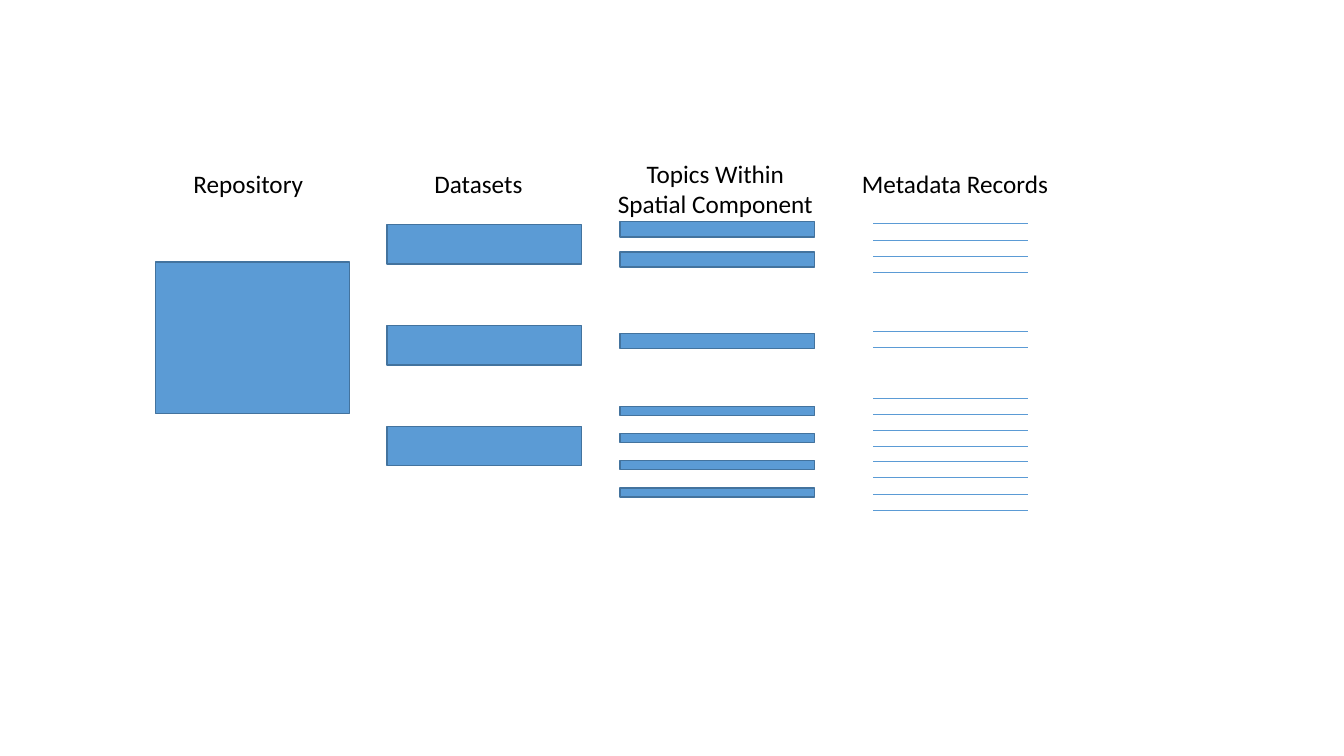
from lxml.etree import SubElement
from pptx import Presentation
from pptx.dml.color import RGBColor
from pptx.enum.shapes import MSO_CONNECTOR, MSO_SHAPE
from pptx.enum.text import PP_ALIGN
from pptx.oxml.ns import qn
from pptx.util import Inches, Pt

BLUE = RGBColor(0x5B, 0x9B, 0xD5)
DARK_BLUE = RGBColor(0x43, 0x73, 0x9E)
BLACK = RGBColor(0, 0, 0)
BAR_WIDTH = 1.93
RECORD_LEFT, RECORD_RIGHT, RECORD_PITCH = 8.66, 10.2, 0.16

prs = Presentation()
prs.slide_width, prs.slide_height = Inches(13.33), Inches(7.5)
slide = prs.slides.add_slide(prs.slide_layouts[6])
shapes = slide.shapes

# Bars: left, first top, height, pitch, count
bar_groups = [
    (1.54, 2.6, 1.5, 0, 1),       # repository
    (3.84, 2.23, 0.39, 1, 3),     # datasets
    (6.15, 2.2, 0.15, 0.3, 2),    # topics of the first dataset
    (6.15, 3.31, 0.15, 0, 1),     # topic of the second dataset
    (6.15, 4.03, 0.09, 0.27, 4),  # topics of the third dataset
]
for left, top, height, pitch, count in bar_groups:
    for index in range(count):
        bar = shapes.add_shape(
            MSO_SHAPE.RECTANGLE, Inches(left), Inches(top + index * pitch),
            Inches(BAR_WIDTH), Inches(height))
        bar.shadow.inherit = False
        bar.fill.solid()
        bar.fill.fore_color.rgb = BLUE
        bar.line.color.rgb = DARK_BLUE
        bar.line.width = Pt(1)

# Metadata records: first line and count of each group
for top, count in [(2.22, 4), (3.29, 2), (3.95, 4), (4.58, 4)]:
    for index in range(count):
        y = Inches(top + index * RECORD_PITCH)
        record = shapes.add_connector(
            MSO_CONNECTOR.STRAIGHT, Inches(RECORD_LEFT), y, Inches(RECORD_RIGHT), y)
        record.line.color.rgb = BLUE
        record.line.width = Pt(0.5)
        SubElement(record._element.spPr, qn("a:effectLst"))

# Column headings
headings = [
    (["Repository"], 1.82, 1.62, 1.38, 0.4, PP_ALIGN.LEFT),
    (["Datasets"], 4.21, 1.62, 1.2, 0.4, PP_ALIGN.LEFT),
    (["Topics Within", "Spatial Component"], 6.02, 1.52, 2.15, 0.71, PP_ALIGN.CENTER),
    (["Metadata Records"], 8.45, 1.62, 2.06, 0.4, PP_ALIGN.LEFT),
]
for lines, left, top, width, height, alignment in headings:
    heading = shapes.add_textbox(Inches(left), Inches(top), Inches(width), Inches(height))
    frame = heading.text_frame
    frame.word_wrap = True
    frame.text = "\n".join(lines)
    for paragraph in frame.paragraphs:
        paragraph.alignment = alignment
        font = paragraph.runs[0].font
        font.name, font.size = "Calibri", Pt(18)
        font.color.rgb = BLACK

prs.save("out.pptx")
